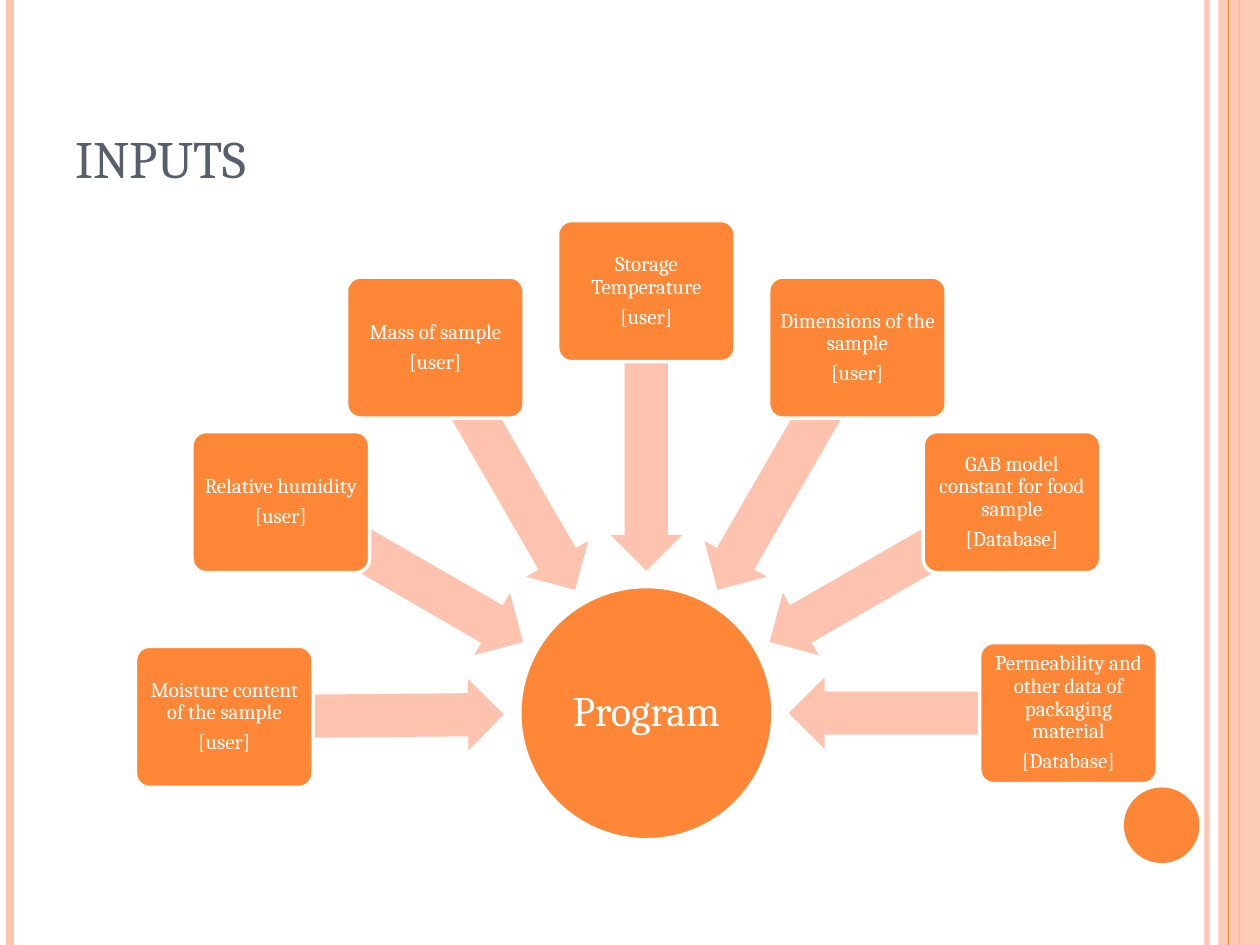
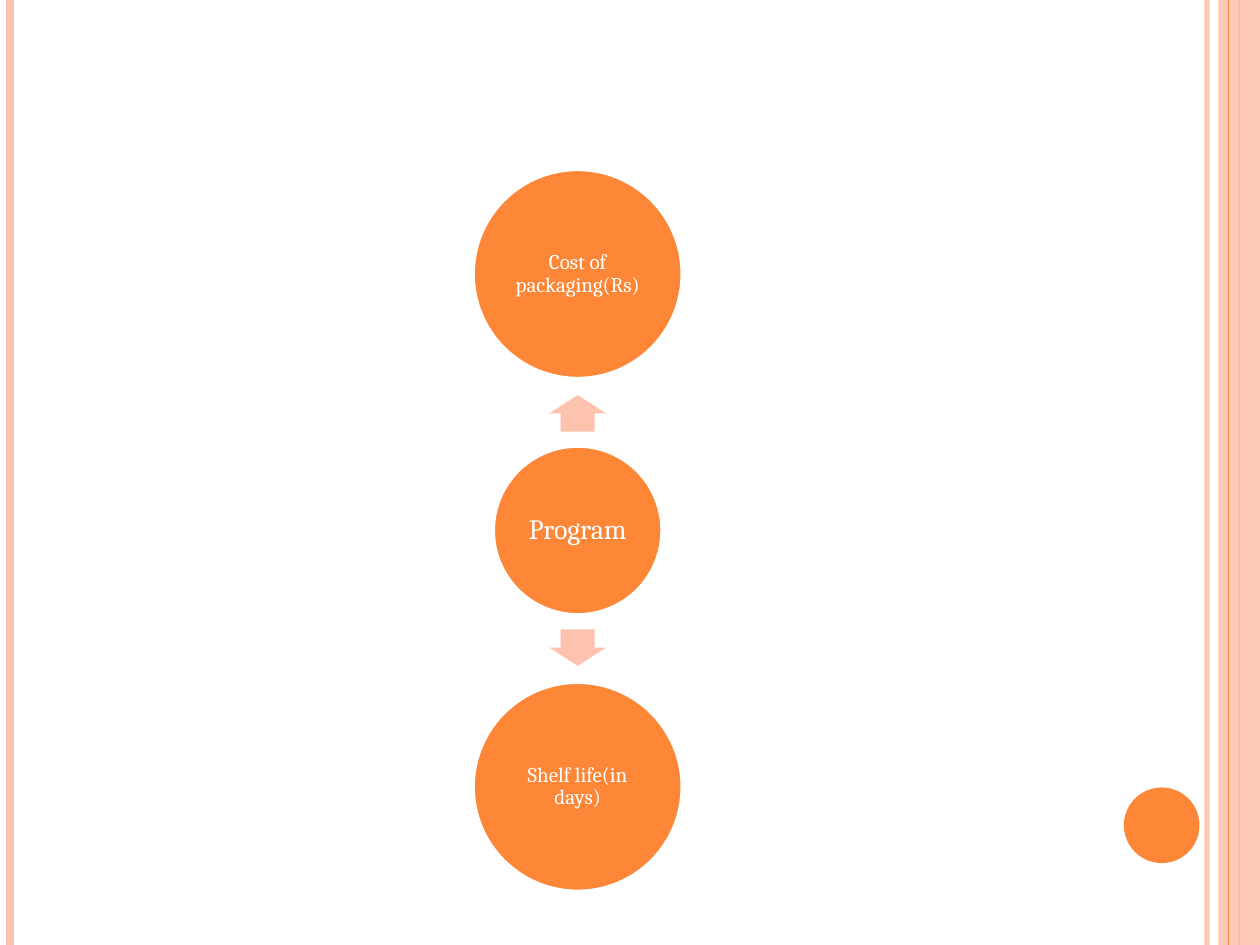
from dataclasses import dataclass
from math import cos, radians, sin

from lxml.etree import SubElement
from pptx import Presentation
from pptx.dml.color import RGBColor
from pptx.enum.shapes import MSO_CONNECTOR as Conn, MSO_SHAPE as Geo
from pptx.enum.text import MSO_ANCHOR as Anchor, PP_ALIGN as Align
from pptx.oxml.ns import qn
from pptx.shapes.autoshape import Shape
from pptx.shapes.connector import Connector
from pptx.slide import Slide
from pptx.util import Inches, Pt

# Square grid cells: 100 columns by 75 rows fill the slide.
COLS, ROWS = 100, 75
CELL = Inches(10) // COLS
FONT = "Cambria"
HUES = {"main": "FE8637", "pale": "FEC3AE", "title": "575F6D", "white": "FFFFFF"}


@dataclass(frozen=True)
class Rule:
    col: float
    hue: str
    width: float
    alpha: int = 100


@dataclass(frozen=True)
class Node:
    """A filled outline with centred text; sizes are in grid cells."""
    geo: Geo
    wide: float
    high: float
    size: float
    inset: float


@dataclass(frozen=True)
class Arrow:
    geo: Geo
    wide: float
    high: float


@dataclass(frozen=True)
class Input:
    name: str
    source: str
    angle: float


@dataclass(frozen=True)
class Result:
    name: str
    side: int


EDGE = Rule(95.8, "pale", 3, 93)
LEFT = Rule(0.8, "pale", 4.5)
MID = Rule(98.3, "main", 1.5)
FRONT = Rule(97.5, "main", 0.75)

BOX = Node(Geo.ROUNDED_RECTANGLE, 14.1, 11.2, 12, 0.03)
HUB = Node(Geo.OVAL, 20.1, 20.1, 24, 0.02)
CORE = Node(Geo.OVAL, 13.4, 13.4, 16, 0.02)
DISC = Node(Geo.OVAL, 16.6, 16.6, 12, 0.02)
SPOKE = Arrow(Geo.LEFT_ARROW, 22.2, 5.7)
STUB = Arrow(Geo.RIGHT_ARROW, 2.9, 4.5)

INPUTS = [
    Input("Moisture content of the sample", "[user]", 180.5),
    Input("Relative humidity", "[user]", 150),
    Input("Mass of sample", "[user]", 120),
    Input("Storage Temperature", "[user]", 90),
    Input("Dimensions of the sample", "[user]", 60),
    Input("GAB model constant for food sample", "[Database]", 30),
    Input("Permeability and other data of packaging material", "[Database]", 0),
]
RESULTS = [Result("Cost of packaging(Rs)", -1), Result("Shelf life(in days)", 1)]


def cells(count: float) -> int:
    return round(count * CELL)


def tint(hue: str) -> RGBColor:
    return RGBColor.from_string(HUES[hue])


def fade(item: Shape | Connector, alpha: int) -> None:
    """Set the opacity, in percent, of the first colour of an item."""
    clr = next(item.element.iter(qn("a:srgbClr")))
    SubElement(clr, qn("a:alpha")).set("val", str(alpha * 1000))


def add_form(slide: Slide, geo: Geo, x: float, y: float, wide: float,
             high: float, hue: str) -> Shape:
    """Add a plain filled shape centred on column x and row y."""
    form = slide.shapes.add_shape(geo, cells(x - wide / 2), cells(y - high / 2),
                                  cells(wide), cells(high))
    form.shadow.inherit = False
    form.fill.solid()
    form.fill.fore_color.rgb = tint(hue)
    form.line.fill.background()
    return form


def add_rule(slide: Slide, rule: Rule) -> Connector:
    line = slide.shapes.add_connector(Conn.STRAIGHT, cells(rule.col), 0,
                                      cells(rule.col), cells(ROWS))
    line.line.color.rgb = tint(rule.hue)
    line.line.width = Pt(rule.width)
    SubElement(line.element.spPr, qn("a:effectLst"))
    if rule.alpha < 100:
        fade(line, rule.alpha)
    return line


def add_frame(slide: Slide) -> None:
    """Draw the side bands and the corner dot that all slides share."""
    add_rule(slide, EDGE)
    add_rule(slide, LEFT)
    band = add_form(slide, Geo.RECTANGLE, 98.35, ROWS / 2, 3.3, ROWS, "pale")
    fade(band, 87)
    mid = add_rule(slide, MID)
    mid.begin_connect(band, 0)
    mid.end_connect(band, 2)
    band.element.addprevious(mid.element)
    add_rule(slide, FRONT)
    add_form(slide, Geo.OVAL, 92.2, 65.5, 6, 6, "main")


def add_title(slide: Slide, text: str) -> None:
    box = slide.shapes.add_textbox(cells(5), cells(3), cells(81.7), cells(12.5))
    frame = box.text_frame
    frame.word_wrap = True
    frame.vertical_anchor = Anchor.BOTTOM
    frame.text = text
    font = frame.paragraphs[0].runs[0].font
    font.name, font.size = FONT, Pt(30)
    font.color.rgb = tint("title")


def add_node(slide: Slide, node: Node, x: float, y: float, text: str) -> None:
    form = add_form(slide, node.geo, x, y, node.wide, node.high, "main")
    form.line.color.rgb = tint("white")
    form.line.width = Pt(2)
    if node.geo == Geo.ROUNDED_RECTANGLE:
        form.adjustments[0] = 0.1
    frame = form.text_frame
    frame.word_wrap = True
    frame.vertical_anchor = Anchor.MIDDLE
    frame.margin_left = frame.margin_right = Inches(node.inset)
    frame.margin_top = frame.margin_bottom = Inches(node.inset)
    frame.text = text
    for para in frame.paragraphs:
        para.alignment = Align.CENTER
        para.line_spacing = 0.9
        para.space_after = Pt(node.size * 0.35)
        for run in para.runs:
            run.font.name, run.font.size = FONT, Pt(node.size)
            run.font.color.rgb = tint("white")


def add_arrow(slide: Slide, arrow: Arrow, x: float, y: float, turn: float) -> None:
    form = add_form(slide, arrow.geo, x, y, arrow.wide, arrow.high, "pale")
    form.adjustments[0], form.adjustments[1] = 0.6, 0.5
    form.rotation = turn


def draw_inputs(slide: Slide) -> None:
    """Fan the inputs over a half circle around the program."""
    x, y, near, far = 51.3, 56.6, 22.4, 33.5
    add_title(slide, "INPUTS")
    add_node(slide, HUB, x, y, "Program")
    for item in INPUTS:
        dx, dy = cos(radians(item.angle)), -sin(radians(item.angle))
        add_arrow(slide, SPOKE, x + near * dx, y + near * dy, -item.angle % 360)
        add_node(slide, BOX, x + far * dx, y + far * dy,
                 f"{item.name}\n{item.source}")


def draw_results(slide: Slide) -> None:
    """Stack the results above and below the program."""
    x, y, near, far = 45.85, 42.1, 9.3, 20.35
    add_node(slide, CORE, x, y, "Program")
    for item in RESULTS:
        add_arrow(slide, STUB, x, y + near * item.side, 90 * item.side % 360)
        add_node(slide, DISC, x, y + far * item.side, item.name)


def main() -> None:
    deck = Presentation()
    deck.slide_width, deck.slide_height = cells(COLS), cells(ROWS)
    for draw in (draw_inputs, draw_results):
        slide = deck.slides.add_slide(deck.slide_layouts[6])
        add_frame(slide)
        draw(slide)
    deck.save("out.pptx")


if __name__ == "__main__":
    main()
